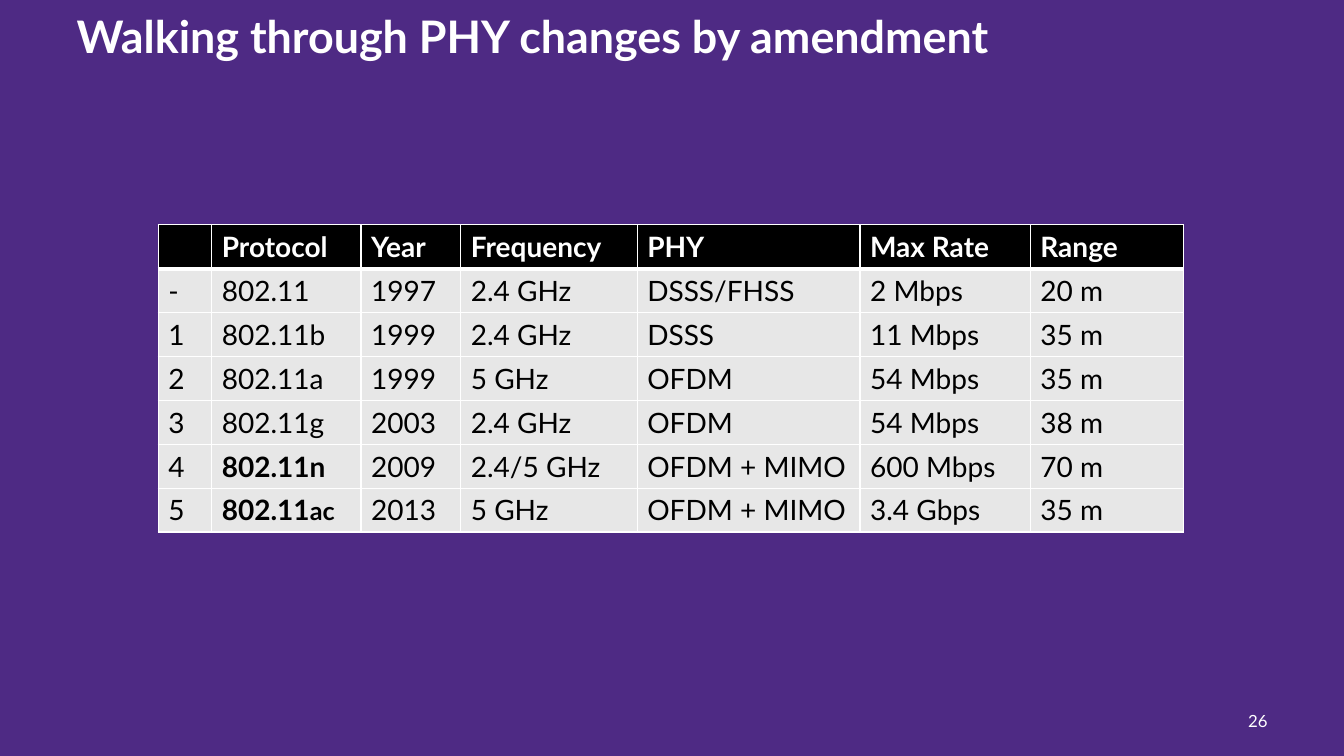
from lxml import etree
from pptx import Presentation
from pptx.dml.color import RGBColor
from pptx.enum.text import MSO_ANCHOR, MSO_AUTO_SIZE, PP_ALIGN
from pptx.oxml.ns import qn
from pptx.util import Inches, Pt

MIDDLE = MSO_ANCHOR.MIDDLE
NO_AUTOFIT = MSO_AUTO_SIZE.NONE
LEFT, RIGHT = PP_ALIGN.LEFT, PP_ALIGN.RIGHT
PURPLE, WHITE, BLACK, GRAY = "4E2A84", "FFFFFF", "000000", "E7E7E7"


def add_text(frame, text, size=20, color=BLACK, bold=False, align=LEFT):
    paragraph = frame.paragraphs[0]
    paragraph.alignment = align
    run = paragraph.add_run()
    run.text = text
    run.font.name = "Lato"
    run.font.size = Pt(size)
    run.font.bold = bold
    run.font.color.rgb = RGBColor.from_string(color)


def set_borders(cell, bottom_width):
    properties = cell._tc.get_or_add_tcPr()
    widths = {"a:lnL": 1, "a:lnR": 1, "a:lnT": 1, "a:lnB": bottom_width}
    for position, (side, width) in enumerate(widths.items()):
        line = etree.Element(qn(side), w=str(Pt(width)))
        fill = etree.SubElement(line, qn("a:solidFill"))
        etree.SubElement(fill, qn("a:srgbClr"), val=WHITE)
        properties.insert(position, line)


prs = Presentation()
prs.slide_width, prs.slide_height = Inches(13.33), Inches(7.5)
slide = prs.slides.add_slide(prs.slide_layouts[5])
slide.background.fill.solid()
slide.background.fill.fore_color.rgb = RGBColor.from_string(PURPLE)

# Title
title = slide.shapes.title
title.left, title.top = Inches(0.66), Inches(0.01)
title.width, title.height = Inches(12), Inches(0.75)
title.text_frame.auto_size = NO_AUTOFIT
title.text_frame.vertical_anchor = MIDDLE
add_text(title.text_frame, "Walking through PHY changes by amendment",
         size=32, color=WHITE, bold=True)
title.text_frame.paragraphs[0].line_spacing = 0.9

# Amendment table
amendments = [
    ("", "Protocol", "Year", "Frequency", "PHY", "Max Rate", "Range"),
    ("-", "802.11", "1997", "2.4 GHz", "DSSS/FHSS", "2 Mbps", "20 m"),
    ("1", "802.11b", "1999", "2.4 GHz", "DSSS", "11 Mbps", "35 m"),
    ("2", "802.11a", "1999", "5 GHz", "OFDM", "54 Mbps", "35 m"),
    ("3", "802.11g", "2003", "2.4 GHz", "OFDM", "54 Mbps", "38 m"),
    ("4", "802.11n", "2009", "2.4/5 GHz", "OFDM + MIMO", "600 Mbps", "70 m"),
    ("5", "802.11", "2013", "5 GHz", "OFDM + MIMO", "3.4 Gbps", "35 m"),
]
column_widths = [0.53, 1.48, 0.99, 1.75, 2.21, 1.69, 1.52]
table = slide.shapes.add_table(
    len(amendments), len(column_widths), Inches(1.57), Inches(2.23),
    Inches(sum(column_widths)), Inches(3.03)).table
for column, width in zip(table.columns, column_widths):
    column.width = Inches(width)

for r, amendment in enumerate(amendments):
    header = r == 0
    for c, value in enumerate(amendment):
        cell = table.cell(r, c)
        cell.fill.solid()
        cell.fill.fore_color.rgb = RGBColor.from_string(BLACK if header else GRAY)
        set_borders(cell, bottom_width=3 if header else 1)
        if value:
            add_text(cell.text_frame, value, color=WHITE if header else BLACK,
                     bold=header or (c == 1 and r >= 5))

# The last protocol ends in smaller letters
add_text(table.cell(6, 1).text_frame, "ac", size=18, bold=True)

# Page number
page_number = slide.shapes.add_textbox(
    Inches(11.67), Inches(6.95), Inches(1), Inches(0.4)).text_frame
page_number.word_wrap = True
page_number.vertical_anchor = MIDDLE
add_text(page_number, "26", size=12, color=WHITE, align=RIGHT)

prs.save("out.pptx")
